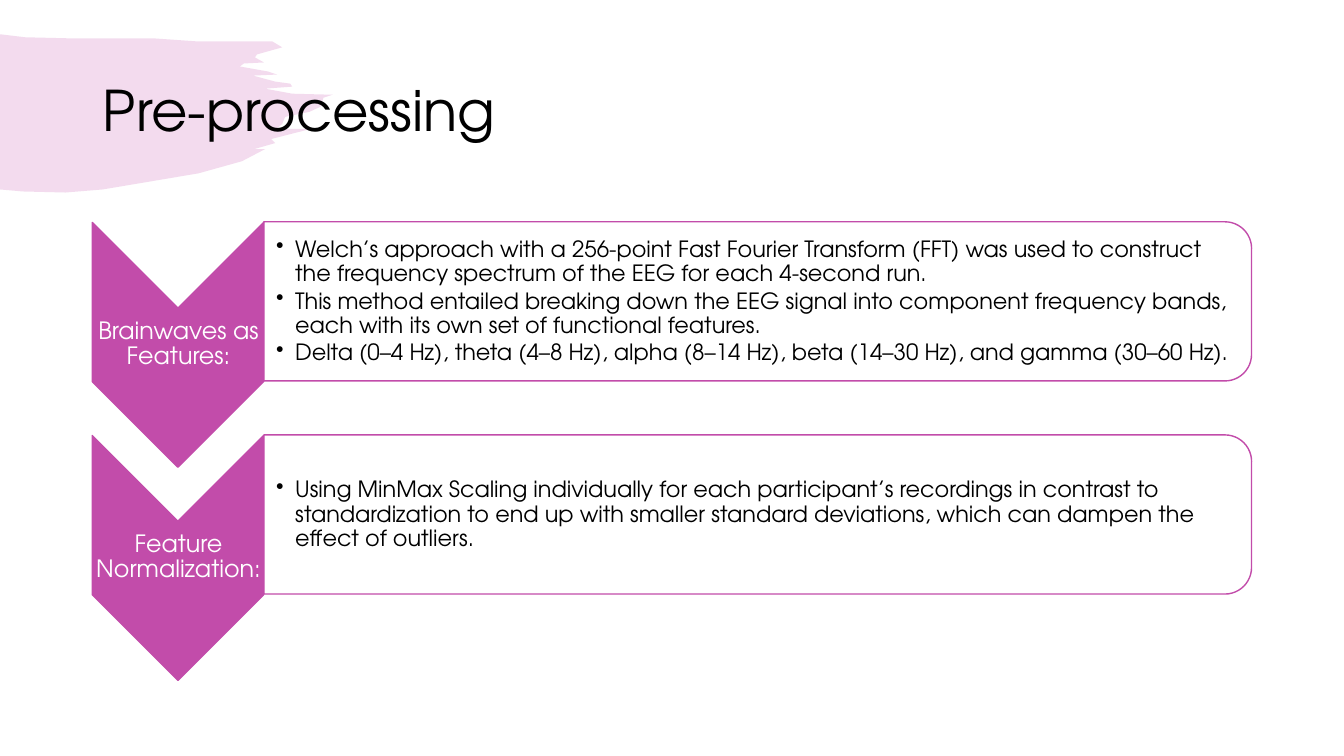
from dataclasses import dataclass

import pptx
import pptx.dml.color
import pptx.enum.shapes
import pptx.enum.text
import pptx.oxml.ns
import pptx.shapes.autoshape
import pptx.slide
import pptx.text.text
import pptx.util
from lxml import etree

Cm = pptx.util.Cm
Pt = pptx.util.Pt
RGBColor = pptx.dml.color.RGBColor
qn = pptx.oxml.ns.qn
SHAPE = pptx.enum.shapes.MSO_SHAPE
ALIGN = pptx.enum.text.PP_ALIGN
MIDDLE = pptx.enum.text.MSO_ANCHOR.MIDDLE

FONT = "TeX Gyre Adventor"
BRUSH = RGBColor(0xC3, 0x4D, 0xAB)
MAGENTA = RGBColor(0xC2, 0x4C, 0xAA)
WHITE = RGBColor(0xFF, 0xFF, 0xFF)
BLACK = RGBColor(0x00, 0x00, 0x00)

STEP_PITCH = 5.37
BRUSH_UNIT = Cm(0.0254)

# Outline of the brush stroke, clockwise from the top left
BRUSH_OUTLINE = [
    (0, 34), (25, 37), (66, 38), (151, 38), (194, 41), (248, 41), (270, 41), (280, 47),
    (255, 54), (253, 57), (262, 62), (242, 63), (238, 66), (266, 71), (275, 74), (251, 75),
    (273, 81), (288, 83), (290, 86), (263, 88), (290, 93), (330, 94), (321, 97), (318, 106),
    (307, 111), (283, 116), (280, 123), (274, 128), (308, 128), (269, 138), (273, 142),
    (252, 148), (263, 148), (240, 160), (197, 172), (102, 188), (65, 191), (23, 190), (0, 188),
]


@dataclass
class Step:
    label: str
    details: list[str]


STEPS = [
    Step("Brainwaves as Features:", [
        "Welch’s approach with a 256-point Fast Fourier Transform (FFT) was used to construct "
        "the frequency spectrum of the EEG for each 4-second run.",
        "This method entailed breaking down the EEG signal into component frequency bands, "
        "each with its own set of functional features.",
        "Delta (0–4 Hz), theta (4–8 Hz), alpha (8–14 Hz), beta (14–30 Hz), "
        "and gamma (30–60 Hz).",
    ]),
    Step("Feature Normalization:", [
        "Using MinMax Scaling individually for each participant’s recordings in contrast to "
        "standardization to end up with smaller standard deviations, which can dampen the "
        "effect of outliers.",
    ]),
]


def paint(shape: pptx.shapes.autoshape.Shape, color: RGBColor, opacity: int = 100) -> None:
    """Fill without shadow; opacity is in percent."""
    shape.shadow.inherit = False
    shape.fill.solid()
    shape.fill.fore_color.rgb = color
    if opacity < 100:
        color_tag = shape.element.spPr.find(qn("a:solidFill"))[0]
        etree.SubElement(color_tag, qn("a:alpha"), val=str(opacity * 1000))


def write(paragraph: pptx.text.text._Paragraph, text: str, size: float, color: RGBColor) -> None:
    paragraph.line_spacing = 0.9
    run = paragraph.add_run()
    run.text = text
    run.font.name = FONT
    run.font.size = Pt(size)
    run.font.color.rgb = color


def add_bullet(paragraph: pptx.text.text._Paragraph) -> None:
    paragraph.level = 1
    properties = paragraph._p.get_or_add_pPr()
    properties.set("marL", str(Cm(0.48)))
    properties.set("indent", str(-Cm(0.48)))
    bullet_color = etree.SubElement(properties, qn("a:buClr"))
    etree.SubElement(bullet_color, qn("a:srgbClr"), val=str(BLACK))
    etree.SubElement(properties, qn("a:buChar"), char="•")


def add_brush_stroke(slide: pptx.slide.Slide) -> None:
    """Draw the stroke behind the title."""
    start, *rest = BRUSH_OUTLINE
    builder = slide.shapes.build_freeform(*start, scale=BRUSH_UNIT)
    builder.add_line_segments(rest, close=True)
    stroke = builder.convert_to_shape()
    paint(stroke, BRUSH, 20)
    stroke.line.fill.background()
    slide.shapes.title.element.addprevious(stroke.element)


def add_turned_shape(slide: pptx.slide.Slide, kind: SHAPE, box: tuple[float, ...],
                     adjustments: list[float], color: RGBColor, opacity: int = 100) -> None:
    """Add an outlined shape turned a quarter clockwise; box is in cm before turning."""
    shape = slide.shapes.add_shape(kind, *map(Cm, box))
    shape.rotation = 90
    for i, value in enumerate(adjustments):
        shape.adjustments[i] = value
    paint(shape, color, opacity)
    shape.line.color.rgb = MAGENTA
    shape.line.width = Pt(1)


def add_text_frame(slide: pptx.slide.Slide, box: tuple[float, ...],
                   left_margin: float) -> pptx.text.text.TextFrame:
    frame = slide.shapes.add_textbox(*map(Cm, box)).text_frame
    frame.word_wrap = True
    frame.vertical_anchor = MIDDLE
    frame.margin_left = Cm(left_margin)
    frame.margin_right = frame.margin_top = frame.margin_bottom = Cm(0.03)
    return frame


def add_step(slide: pptx.slide.Slide, step: Step, drop: float) -> None:
    add_turned_shape(slide, SHAPE.CHEVRON, (1.4, 6.53 + drop, 6.17, 4.32), [0.5], MAGENTA)
    label = add_text_frame(slide, (2.34, 7.75 + drop, 4.32, 1.85), 0.03).paragraphs[0]
    label.alignment = ALIGN.CENTER
    write(label, step.label, 17, WHITE)

    add_turned_shape(slide, SHAPE.ROUND_2_SAME_RECTANGLE, (17.09, -4.85 + drop, 4.01, 24.89),
                     [0.167, 0], WHITE, 90)
    details = add_text_frame(slide, (6.65, 5.79 + drop, 24.69, 3.63), 0.31)
    for i, detail in enumerate(step.details):
        paragraph = details.add_paragraph() if i else details.paragraphs[0]
        add_bullet(paragraph)
        paragraph.space_before = Pt(2.4 if i else 0)
        write(paragraph, detail, 16, BLACK)


def main() -> None:
    deck = pptx.Presentation()
    deck.slide_width, deck.slide_height = Cm(33.87), Cm(19.05)
    slide = deck.slides.add_slide(deck.slide_layouts[5])

    title = slide.shapes.title
    title.left, title.top, title.width, title.height = map(Cm, (2.34, 1.02, 29.21, 3.68))
    title.text_frame.vertical_anchor = MIDDLE
    heading = title.text_frame.paragraphs[0]
    heading.alignment = ALIGN.LEFT
    write(heading, "Pre-processing", 40, BLACK)

    add_brush_stroke(slide)
    for i, step in enumerate(STEPS):
        add_step(slide, step, i * STEP_PITCH)
    deck.save("out.pptx")


if __name__ == "__main__":
    main()
